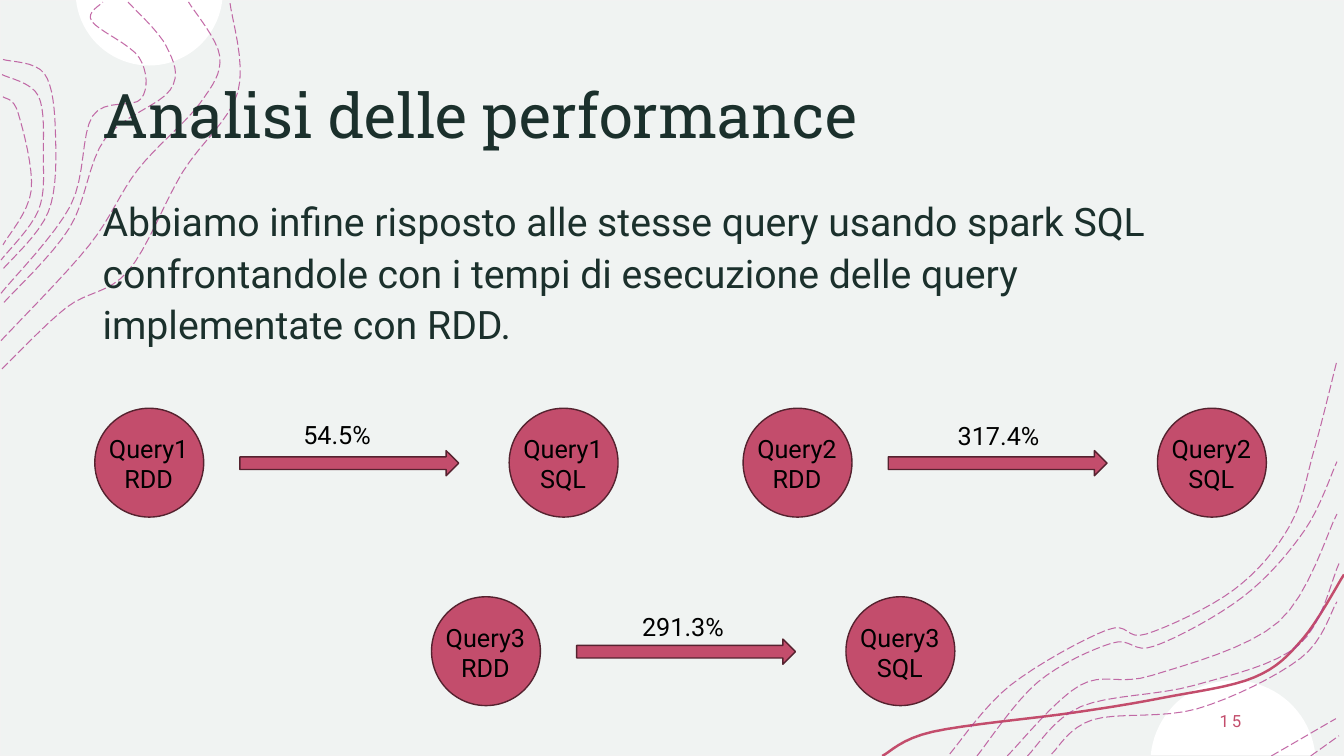
import math

from lxml import etree
from pptx import Presentation
from pptx.dml.color import RGBColor
from pptx.enum.dml import MSO_LINE
from pptx.enum.shapes import MSO_SHAPE
from pptx.enum.text import MSO_ANCHOR, PP_ALIGN
from pptx.oxml.ns import qn
from pptx.util import Inches, Pt

RECT, OVAL, ARROW = MSO_SHAPE.RECTANGLE, MSO_SHAPE.OVAL, MSO_SHAPE.RIGHT_ARROW
LEFT, CENTER, RIGHT = PP_ALIGN.LEFT, PP_ALIGN.CENTER, PP_ALIGN.RIGHT
TOP, MIDDLE = MSO_ANCHOR.TOP, MSO_ANCHOR.MIDDLE
LONG_DASH = MSO_LINE.LONG_DASH

THEME = {
    "paper": RGBColor.from_string("F0F3F2"),
    "paper_edge": RGBColor.from_string("F2F2F2"),
    "white": RGBColor.from_string("FFFFFF"),
    "rose": RGBColor.from_string("C34D6C"),
    "rose_edge": RGBColor.from_string("55222F"),
    "contour": RGBColor.from_string("B13B8C"),
    "ink": RGBColor.from_string("1B302C"),
    "black": RGBColor.from_string("000000"),
    "title": {"name": "Roboto Slab", "size": Pt(44)},
    "body": {"name": "Roboto", "size": Pt(28)},
    "label": {"name": "Roboto", "size": Pt(18)},
    "number": {"name": "Roboto", "size": Pt(12)},
}

prs = Presentation()
prs.slide_width, prs.slide_height = Inches(13.33), Inches(7.5)
s = prs.slides.add_slide(prs.slide_layouts[6])


def add_curve(points, color, width):
    """Draw an open Catmull-Rom curve through points."""
    padded = [points[0], *points, points[-1]]
    curve = [points[0]]
    for a, b, c, d in zip(padded, padded[1:], padded[2:], padded[3:]):
        for t in (i / 8 for i in range(1, 9)):
            curve.append(tuple(
                (2 * q + (r - p) * t + (2 * p - 5 * q + 4 * r - u) * t ** 2
                 + (3 * q - p - 3 * r + u) * t ** 3) / 2
                for p, q, r, u in zip(a, b, c, d)))
    emu = [(Inches(x), Inches(y)) for x, y in curve]
    builder = s.shapes.build_freeform(*emu[0])
    builder.add_line_segments(emu[1:], close=False)
    sp = builder.convert_to_shape()
    sp.shadow.inherit = False
    sp.fill.background()
    sp.line.color.rgb = THEME[color]
    sp.line.width = Pt(width)
    return sp


def add_text(box, lines, font, color, align=LEFT, anchor=TOP):
    tb = s.shapes.add_textbox(*map(Inches, box))
    tf = tb.text_frame
    tf.word_wrap, tf.vertical_anchor = True, anchor
    for i, line in enumerate(lines):
        p = tf.paragraphs[0] if i == 0 else tf.add_paragraph()
        p.alignment = align
        r = p.add_run()
        r.text = line
        for key, value in THEME[font].items():
            setattr(r.font, key, value)
        r.font.color.rgb = THEME[color]
    return tf.paragraphs[0]


# Background
paper = s.shapes.add_shape(RECT, 0, 0, prs.slide_width, prs.slide_height)
paper.shadow.inherit = False
paper.fill.solid()
paper.fill.fore_color.rgb = THEME["paper"]
paper.line.color.rgb = THEME["paper_edge"]
paper.line.width = Pt(1)

# White discs cut by the slide edge: centre x, centre y, radius, direction of bulge
for cx, cy, radius, bulge in ((1.48, -0.08, 0.73, 1), (12.23, 7.57, 0.82, -1)):
    start = math.asin(0.08 / radius)
    angles = [start + (math.pi - 2 * start) * i / 40 for i in range(41)]
    arc = [(Inches(cx + radius * math.cos(a)), Inches(cy + bulge * radius * math.sin(a)))
           for a in angles]
    builder = s.shapes.build_freeform(*arc[0])
    builder.add_line_segments(arc[1:], close=True)
    disc = builder.convert_to_shape()
    disc.shadow.inherit = False
    disc.fill.solid()
    disc.fill.fore_color.rgb = THEME["white"]
    disc.line.fill.background()

add_curve([(8.75, 7.5), (9.25, 7.26), (10.65, 7.07), (11.55, 6.92), (12.44, 6.72),
           (12.92, 6.34), (13.33, 5.7)], "rose", 1.75)

CONTOURS = [
    # Upper left
    [(0.02, 3.66), (0.66, 3.05), (1.27, 2.69), (1.81, 1.71), (2.36, 0.91), (2.28, 0.02)],
    [(0.01, 3.38), (0.88, 2.44), (1.37, 1.68), (1.98, 1.03), (2.18, 0.56), (1.87, 0.02)],
    [(1.27, 0.02), (1.65, 0.46), (1.69, 0.89), (1.04, 1.38), (0.69, 2.26), (0.03, 3.01)],
    [(0.01, 2.91), (0.7, 2.04), (0.92, 1.15), (1.4, 0.98), (1.38, 0.57), (0.91, 0.21),
     (1.02, 0.02)],
    [(0.03, 0.59), (0.44, 0.73), (0.55, 1.32), (0.48, 2.1), (0.02, 2.68)],
    [(0.02, 0.74), (0.38, 0.95), (0.43, 1.55), (0.38, 2.09), (0.01, 2.58)],
    [(0.03, 0.96), (0.18, 1.12), (0.31, 1.89), (0.03, 2.43)],
    # Lower right
    [(9.42, 7.48), (10.02, 6.8), (10.98, 6.25), (11.37, 6.29), (12.24, 5.85), (12.79, 5.22),
     (13.04, 4.44), (13.26, 3.58)],
    [(9.69, 7.5), (10.29, 6.77), (11.03, 6.38), (11.45, 6.41), (12.33, 5.92), (12.94, 5.26),
     (13.26, 4.58)],
    [(13, 7.5), (13.28, 7.3)],
    [(12.61, 7.5), (13.25, 7.13)],
    [(10.43, 7.48), (10.84, 7.14), (11.88, 7.03), (12.9, 6.53), (13.26, 5.97)],
    [(10.19, 7.5), (10.72, 7.01), (11.84, 6.8), (12.88, 6.4), (13.28, 5.59)],
    [(9.99, 7.5), (10.71, 6.8), (11.43, 6.7), (12.68, 6.17), (13.26, 5.1)],
]
for points in CONTOURS:
    contour = add_curve(points, "contour", 0.75)
    contour.line.dash_style = LONG_DASH
    color = contour.line._ln.find(".//" + qn("a:srgbClr"))
    etree.SubElement(color, qn("a:alpha")).set("val", "75000")

# Title, body and slide number
add_text((0.92, 0.4, 11.5, 1.45), ["Analisi delle performance"], "title", "ink", anchor=MIDDLE)
body = add_text((0.92, 1.86, 11.5, 1.68), [
    "Abbiamo infine risposto alle stesse query usando spark SQL confrontandole con i tempi "
    "di esecuzione delle query implementate con RDD."], "body", "ink")
body.line_spacing, body.space_before = 1.1, Pt(10)
number = add_text((10.83, 6.95, 1.58, 0.4), ["15"], "number", "rose", RIGHT, MIDDLE)
number.runs[0].font._element.set("spc", "200")

# Comparisons: query, left, top, change, place and width of its label
COMPARISONS = [
    ("Query1", 0.94, 4.05, "54.5%", (2.91, 4.11, 1.04)),
    ("Query2", 7.37, 4.05, "317.4%", (9.4, 4.12, 1.16)),
    ("Query3", 4.28, 5.92, "291.3%", (6.27, 6.02, 1.08)),
]
for query, left, top, change, label_box in COMPARISONS:
    for kind, x, y, w, h in ((OVAL, left, top, 1.08, 1.08),
                             (ARROW, left + 1.44, top + 0.42, 2.17, 0.25),
                             (OVAL, left + 4.11, top, 1.08, 1.08)):
        sp = s.shapes.add_shape(kind, *map(Inches, (x, y, w, h)))
        sp.shadow.inherit = False
        sp.fill.solid()
        sp.fill.fore_color.rgb = THEME["rose"]
        sp.line.color.rgb = THEME["rose_edge"]
        sp.line.width = Pt(1)
    for engine, x in (("RDD", left), ("SQL", left + 4.11)):
        add_text((x - 0.15, top + 0.2, 1.37, 0.71), [query, engine], "label", "black", CENTER)
    add_text((*label_box, 0.4), [change], "label", "black")

prs.save("out.pptx")
